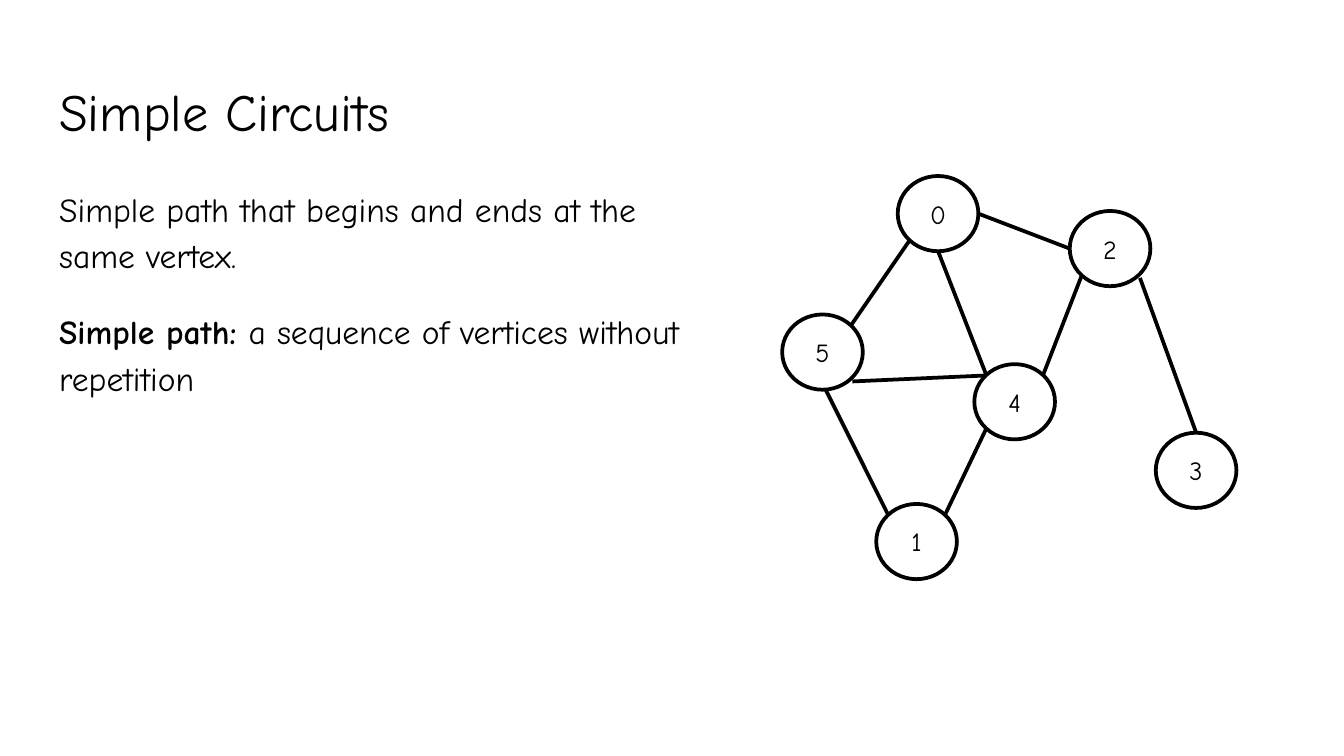
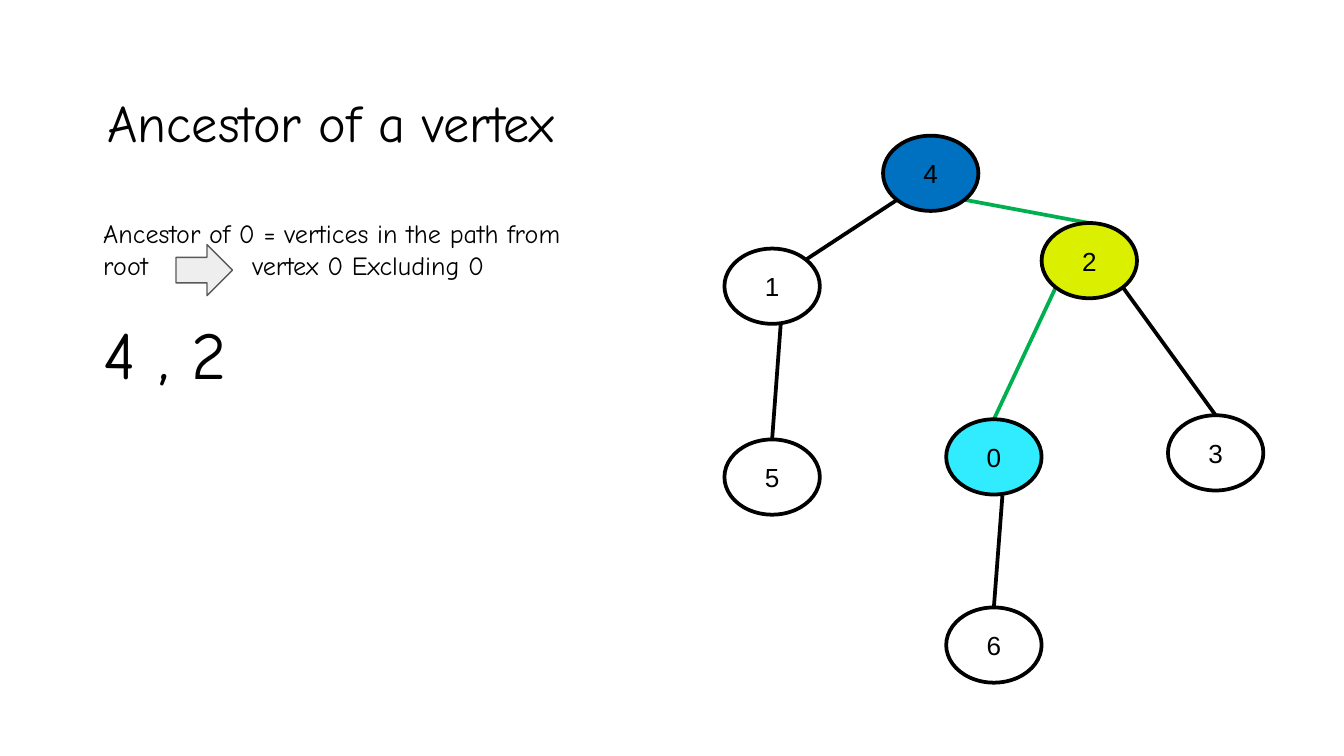
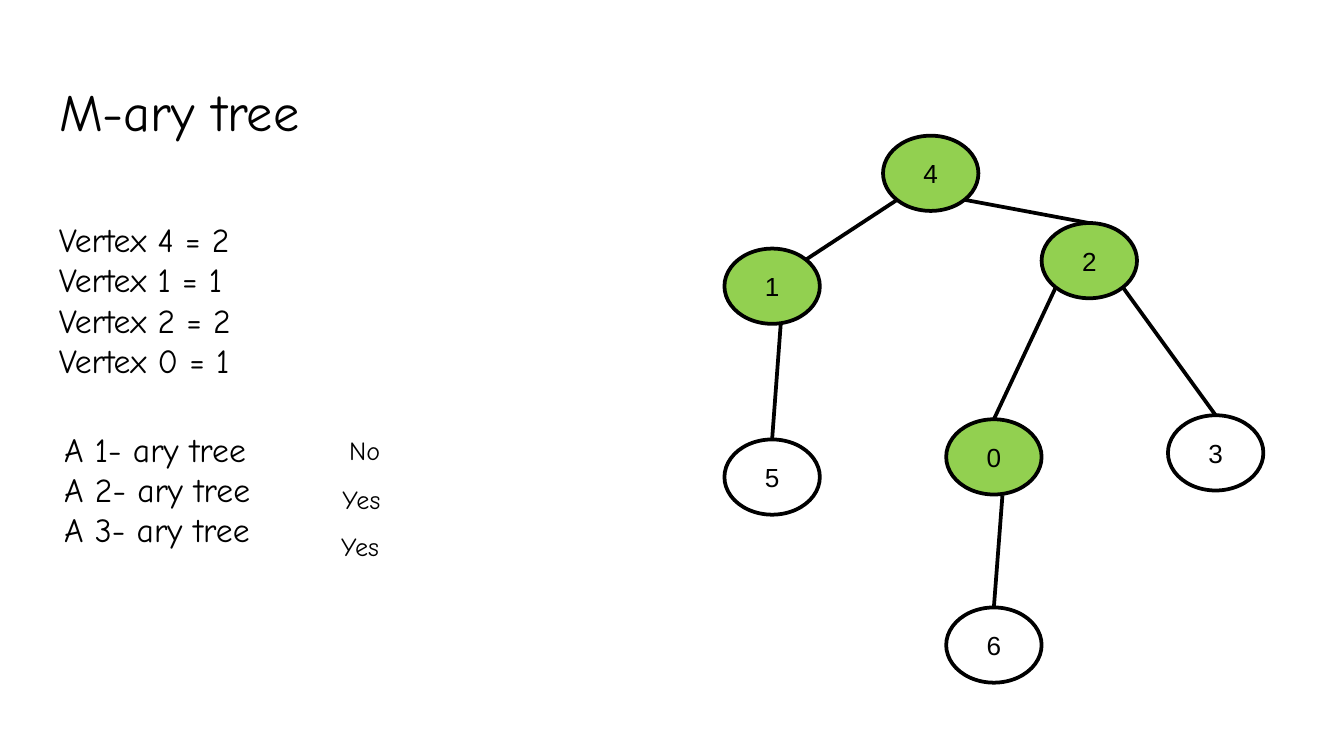
from lxml import etree
from pptx import Presentation
from pptx.dml.color import RGBColor
from pptx.enum.shapes import MSO_CONNECTOR, MSO_SHAPE
from pptx.enum.text import MSO_ANCHOR, MSO_AUTO_SIZE, PP_ALIGN
from pptx.oxml.ns import qn
from pptx.util import Inches, Pt

COLORS = {
    "black": "000000", "white": "FFFFFF", "blue": "0070C0", "yellow": "DBF000",
    "cyan": "31EBFF", "green": "00B050", "lime": "92D050",
    "arrow": "EEEEEE", "outline": "595959",
}
HAND, PLAIN = "Comic Neue", "Arial"

CIRCUIT_TEXT = [
    [("Simple path that begins and ends at the \nsame vertex.", False)],
    [("Simple path: ", True), ("a sequence of vertices without \nrepetition", False)],
]
CIRCUIT_NODES = {
    "0": (6.68, 1.31), "2": (7.96, 1.57), "4": (7.25, 2.71),
    "3": (8.6, 3.22), "1": (6.52, 3.75), "5": (5.82, 2.34),
}
CIRCUIT_EDGES = [
    ("5", "top right", "0", "bottom left"), ("0", "right", "2", "left"),
    ("0", "bottom", "4", "top left"), ("5", "low right", "4", "top left"),
    ("5", "near bottom", "1", "top left"), ("1", "top right", "4", "bottom left"),
    ("4", "top right", "2", "bottom left"), ("2", "low right", "3", "top"),
]

TREE_NODES = {
    "4": (6.57, 1.01), "2": (7.75, 1.66), "1": (5.39, 1.85), "3": (8.69, 3.09),
    "5": (5.39, 3.27), "0": (7.04, 3.12), "6": (7.04, 4.52),
}
TREE_EDGES = [
    ("4", "bottom left", "1", "top right"), ("4", "bottom right", "2", "top"),
    ("2", "bottom right", "3", "top"), ("1", "foot", "5", "top"),
    ("2", "bottom left", "0", "top"), ("0", "foot", "6", "top"),
]
ANCESTOR_FILLS = {"4": "blue", "2": "yellow", "0": "cyan"}
ANCESTOR_PATH = [("4", "2"), ("2", "0")]
ANCESTOR_TEXT = ["Ancestor of 0 = vertices in the path from", "root\tvertex 0 Excluding 0", "4 , 2"]

INNER_FILLS = dict.fromkeys("4120", "lime")
CHILD_COUNTS = ["Vertex 4 = 2", "Vertex 1 = 1", "Vertex 2 = 2", "Vertex 0 = 1"]
ARITIES = ["A 1- ary tree", "A 2- ary tree", "A 3- ary tree"]
ANSWERS = [("No", 2.5, 3.13), ("Yes", 2.45, 3.5), ("Yes", 2.44, 3.85)]

SITES = {
    "top": (0.5, 0), "bottom": (0.5, 1), "left": (0, 0.5), "right": (1, 0.5),
    "top left": (0.15, 0.15), "top right": (0.85, 0.15),
    "bottom left": (0.15, 0.85), "bottom right": (0.85, 0.85),
    "low right": (0.87, 0.89), "near bottom": (0.54, 1), "foot": (0.59, 1.01),
}


def color(name):
    return RGBColor.from_string(COLORS[name])


def place(shape, left, top, width, height):
    shape.left, shape.top = Inches(left), Inches(top)
    shape.width, shape.height = Inches(width), Inches(height)


def write(shape, paras, size, font=HAND, align=PP_ALIGN.LEFT, anchor=MSO_ANCHOR.TOP):
    frame = shape.text_frame
    frame.word_wrap = True
    frame.auto_size = MSO_AUTO_SIZE.NONE
    frame.vertical_anchor = anchor
    frame.margin_left = frame.margin_right = Inches(0.1)
    frame.margin_top = frame.margin_bottom = Inches(0.1)
    for index, spans in enumerate(paras):
        para = frame.paragraphs[0] if index == 0 else frame.add_paragraph()
        para.alignment = align
        para.space_before = Pt(0)
        for text, bold in [(spans, False)] if isinstance(spans, str) else spans:
            for number, line in enumerate(text.split("\n")):
                if number:
                    para.add_line_break()
                span = para.add_run()
                span.text = line
                span.font.name, span.font.size, span.font.bold = font, Pt(size), bold
                span.font.color.rgb = color("black")
    return frame.paragraphs


def add_page(layout, title, left=0.34, top=0.49, width=4.13):
    page = deck.slides.add_slide(deck.slide_layouts[layout])
    place(page.shapes.title, left, top, width, 0.63)
    write(page.shapes.title, [title], 28)
    return page


def add_text(page, paras, size, left, top, width, height):
    box = page.shapes.add_textbox(0, 0, 0, 0)
    place(box, left, top, width, height)
    return write(box, paras, size)


def add_preset(page, kind, box, fill, line, weight):
    shape = page.shapes.add_shape(kind, *map(Inches, box))
    shape.shadow.inherit = False
    shape.fill.solid()
    shape.fill.fore_color.rgb = color(fill)
    shape.line.color.rgb = color(line)
    shape.line.width = Pt(weight)
    return shape


def add_graph(page, nodes, edges, width, font, fills={}, path=()):
    height = 0.56

    def site(node, name):
        left, top = nodes[node]
        across, down = SITES[name]
        return Inches(left + across * width), Inches(top + down * height)

    for start, start_site, end, end_site in edges:
        edge = page.shapes.add_connector(
            MSO_CONNECTOR.STRAIGHT, *site(start, start_site), *site(end, end_site))
        edge.line.color.rgb = color("green" if (start, end) in path else "black")
        edge.line.width = Pt(2)
        etree.SubElement(edge._element.spPr, qn("a:effectLst"))
    for label, corner in nodes.items():
        node = add_preset(page, MSO_SHAPE.FLOWCHART_CONNECTOR, (*corner, width, height),
                          fills.get(label, "white"), "black", 2)
        write(node, [label], 14, font, PP_ALIGN.CENTER, MSO_ANCHOR.MIDDLE)


deck = Presentation()
deck.slide_width = Inches(10)
deck.slide_height = deck.slide_width * 9 // 16

page = add_page(1, "Simple Circuits", width=9.32)
body = page.placeholders[1]
place(body, 0.34, 1.26, 5.38, 1.03)
paras = write(body, CIRCUIT_TEXT, 18)
for para in paras:
    para.line_spacing = 1.15
    props = para._p.get_or_add_pPr()
    props.set("marL", "0")
    props.set("indent", "0")
    etree.SubElement(props, qn("a:buNone"))
paras[1].space_before = paras[1].space_after = Pt(16)
add_graph(page, CIRCUIT_NODES, CIRCUIT_EDGES, 0.6, HAND)

page = add_page(5, "Ancestor of a vertex", 0.7, 0.57)
add_graph(page, TREE_NODES, TREE_EDGES, 0.71, PLAIN, ANCESTOR_FILLS, ANCESTOR_PATH)
add_preset(page, MSO_SHAPE.RIGHT_ARROW, (1.31, 1.82, 0.42, 0.38), "arrow", "outline", 0.75)
intro, route, answer = add_text(page, ANCESTOR_TEXT, 14, 0.67, 1.52, 4.44, 1.57)
tabs = etree.SubElement(route._p.get_or_add_pPr(), qn("a:tabLst"))
etree.SubElement(tabs, qn("a:tab"), pos=str(Inches(1.11)), algn="l")
answer.space_before = Pt(17)
answer.runs[0].font.size = Pt(36)

page = add_page(5, "M-ary tree")
add_text(page, CHILD_COUNTS, 18, 0.34, 1.53, 4.07, 1.36)
add_text(page, ARITIES, 18, 0.38, 3.09, 2, 1.25)
for text, left, top in ANSWERS:
    add_text(page, [text], 14, left, top, 0.97, 0.45)
add_graph(page, TREE_NODES, TREE_EDGES, 0.71, PLAIN, INNER_FILLS)

deck.save("out.pptx")
